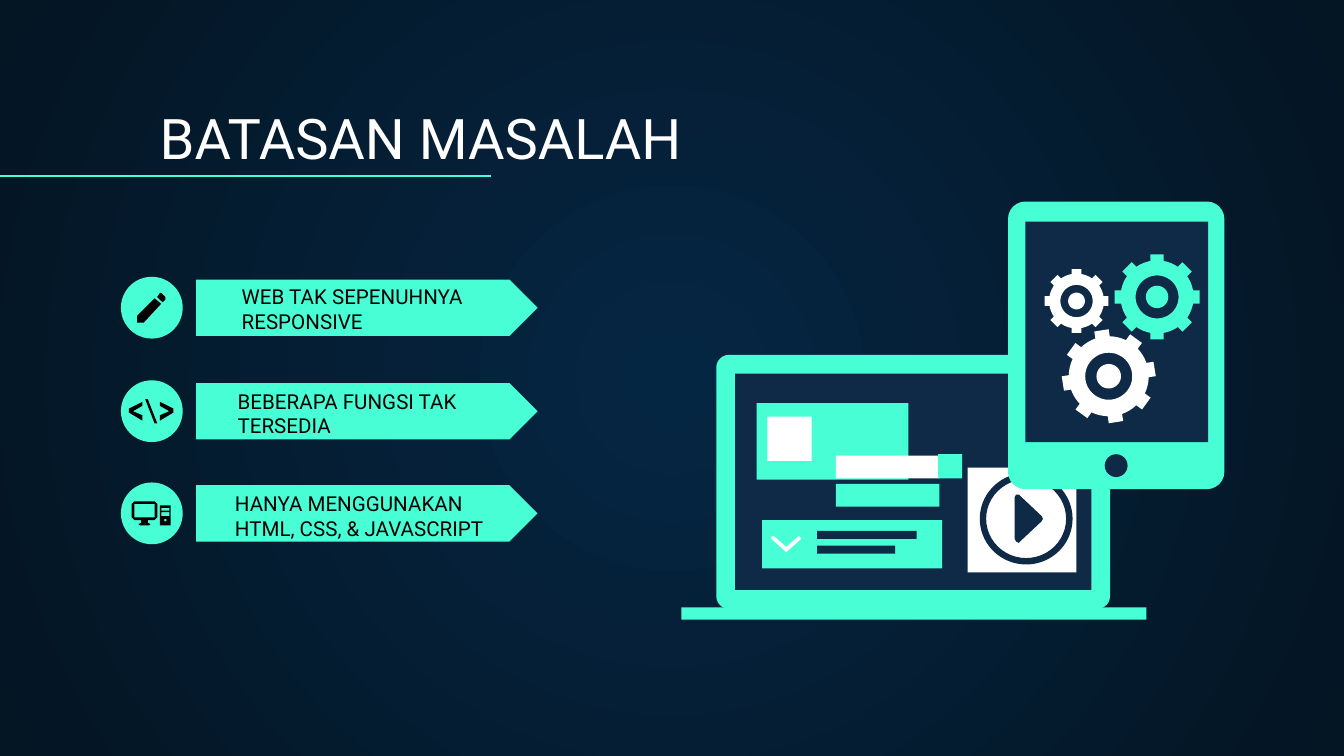
import math
from dataclasses import dataclass

from lxml import etree
from pptx import Presentation
from pptx import util as u
from pptx.dml.color import RGBColor
from pptx.enum import shapes, text
from pptx.oxml.ns import qn


@dataclass(frozen=True)
class Theme:
    mint: str = "48FFD5"
    navy: str = "0E2A47"
    white: str = "FFFFFF"
    black: str = "000000"
    glow: str = "052643"
    edge: str = "041523"
    font: str = "Roboto"
    title: int = 30
    label: int = 11
    rule: float = 0.75


THEME = Theme()
KIND = shapes.MSO_SHAPE


def rectangle(left, top, right, bottom):
    return [(left, top), (right, top), (right, bottom), (left, bottom)]


def ring(x, y, profile, turns, tilt=0):
    points = []
    for turn in range(turns):
        for offset, radius in profile:
            angle = math.radians(tilt + offset + 360 * turn / turns)
            points.append((x + radius * math.sin(angle), y - radius * math.cos(angle)))
    return points


class SlideBuilder:
    """Draws styled elements on the current slide."""

    def __init__(self, deck, theme):
        self.theme = theme
        self.page = deck.slides.add_slide(deck.slide_layouts[6])

    def background(self):
        fill = self.page.background.fill
        fill.gradient()
        for stop, color in zip(fill.gradient_stops, (self.theme.glow, self.theme.edge)):
            stop.color.rgb = RGBColor.from_string(color)
        gradient = self.page.element.find(".//" + qn("a:gradFill"))
        gradient.remove(gradient.find(qn("a:lin")))
        path = etree.SubElement(gradient, qn("a:path"), {"path": "circle"})
        sides = dict.fromkeys("ltrb", "50000")
        etree.SubElement(path, qn("a:fillToRect"), sides)

    def paint(self, shape, color):
        shape.shadow.inherit = False
        shape.fill.solid()
        shape.fill.fore_color.rgb = RGBColor.from_string(color)
        shape.line.fill.background()

    def shape(self, kind, left, top, width, height, color, adjust=None):
        shape = self.page.shapes.add_shape(kind, *map(u.Inches, (left, top, width, height)))
        self.paint(shape, color)
        if adjust is not None:
            shape.adjustments[0] = adjust
        return shape

    def outline(self, color, *contours):
        scaled = [[(u.Inches(x), u.Inches(y)) for x, y in contour] for contour in contours]
        first, *rest = scaled
        builder = self.page.shapes.build_freeform(*first[0])
        builder.add_line_segments(first[1:])
        for contour in rest:
            builder.move_to(*contour[0])
            builder.add_line_segments(contour[1:])
        self.paint(builder.convert_to_shape(), color)

    def gear(self, x, y, radius, color, tilt=0):
        body = 0.85 * radius
        tooth = [(-10.5, body), (-8.9, radius), (8.9, radius), (10.5, body)]
        valley = [(angle, body) for angle in (16.5, 22.5, 28.5)]
        holes = [ring(x, y, [(0, share * radius)], 48) for share in (0.5, 0.26)]
        self.outline(color, ring(x, y, tooth + valley, 8, tilt), *holes)

    def text(self, left, top, width, height, wording, size, color):
        box = self.page.shapes.add_textbox(*map(u.Inches, (left, top, width, height)))
        frame = box.text_frame
        frame.word_wrap = True
        frame.auto_size = text.MSO_AUTO_SIZE.NONE
        frame.vertical_anchor = text.MSO_ANCHOR.BOTTOM
        frame.margin_left = frame.margin_right = u.Inches(0.1)
        frame.margin_top = frame.margin_bottom = u.Inches(0.1)
        para = frame.paragraphs[0]
        para.text = wording
        para.font.name = self.theme.font
        para.font.size = u.Pt(size)
        para.font.color.rgb = RGBColor.from_string(color)

    def line(self, x1, y1, x2, y2, color):
        ends = map(u.Inches, (x1, y1, x2, y2))
        line = self.page.shapes.add_connector(shapes.MSO_CONNECTOR.STRAIGHT, *ends)
        line.line.color.rgb = RGBColor.from_string(color)
        line.line.width = u.Pt(self.theme.rule)
        etree.SubElement(line.element.spPr, qn("a:effectLst"))


def draw_limits(slide):
    limits = [
        (2.08, 1.7, 2.37, "WEB TAK SEPENUHNYA RESPONSIVE"),
        (2.85, 1.67, 3.15, "BEBERAPA FUNGSI TAK TERSEDIA"),
        (3.61, 1.65, 3.91, "HANYA MENGGUNAKAN HTML, CSS, & JAVASCRIPT"),
    ]
    for top, left, text_top, wording in limits:
        slide.shape(KIND.PENTAGON, 1.46, top, 2.54, 0.42, THEME.mint, 0.5)
        slide.shape(KIND.OVAL, 0.9, top - 0.02, 0.46, 0.46, THEME.mint)
        slide.text(left, text_top, 2.27, 0.21, wording, THEME.label, THEME.black)


def draw_icons(slide):
    pencil_tip = [(1.19, 2.18), (1.2, 2.18), (1.23, 2.21), (1.23, 2.23), (1.21, 2.25), (1.17, 2.21)]
    pencil_body = [(1.15, 2.22), (1.02, 2.35), (1.02, 2.4), (1.07, 2.4), (1.2, 2.26)]
    slide.outline(THEME.black, pencil_tip, pencil_body)

    bracket = [(0.1, 0), (0, 0.05), (0, 0.08), (0.1, 0.14), (0.1, 0.1), (0.03, 0.07), (0.1, 0.03)]
    for origin, direction in ((0.96, 1), (1.29, -1)):
        slide.outline(THEME.black, [(origin + direction * x, 2.99 + y) for x, y in bracket])
    slide.outline(THEME.black, [(1.15, 3.15), (1.08, 2.97), (1.1, 2.97), (1.17, 3.15)])

    slide.outline(
        THEME.black,
        [(1, 3.73), (1.15, 3.73), (1.17, 3.75), (1.17, 3.85), (1.15, 3.87), (1.1, 3.87),
         (1.1, 3.89), (1.12, 3.9), (1.11, 3.91), (1.04, 3.91), (1.03, 3.9), (1.05, 3.89),
         (1.05, 3.87), (1, 3.87), (0.98, 3.85), (0.98, 3.75)],
        rectangle(1, 3.75, 1.15, 3.85),
    )
    slide.outline(
        THEME.black,
        rectangle(1.19, 3.76, 1.27, 3.91),
        rectangle(1.2, 3.78, 1.26, 3.8),
        rectangle(1.2, 3.81, 1.26, 3.84),
        ring(1.23, 3.87, [(0, 0.01)], 12),
    )


def draw_laptop(slide):
    slide.shape(KIND.ROUNDED_RECTANGLE, 5.33, 2.64, 2.93, 1.89, THEME.mint, 0.05)
    panels = [
        (5.47, 2.78, 2.65, 1.61, THEME.navy),
        (5.07, 4.52, 3.46, 0.09, THEME.mint),
        (5.63, 3, 1.13, 0.57, THEME.mint),
        (5.71, 3.1, 0.33, 0.33, THEME.white),
        (5.67, 3.87, 1.34, 0.36, THEME.mint),
        (6.08, 3.95, 0.74, 0.06, THEME.navy),
        (6.08, 4.06, 0.58, 0.06, THEME.navy),
        (6.22, 3.6, 0.77, 0.17, THEME.mint),
        (6.22, 3.39, 0.77, 0.17, THEME.white),
        (6.98, 3.38, 0.18, 0.18, THEME.mint),
        (7.2, 3.48, 0.81, 0.78, THEME.white),
    ]
    for *place, color in panels:
        slide.shape(KIND.RECTANGLE, *place, color)
    slide.outline(THEME.white, [
        (5.75, 3.99), (5.76, 3.99), (5.85, 4.07), (5.94, 3.99), (5.95, 3.99), (5.96, 4.01),
        (5.86, 4.1), (5.85, 4.11), (5.84, 4.1), (5.74, 4.01), (5.74, 3.99)])
    slide.shape(KIND.DONUT, 7.29, 3.52, 0.69, 0.68, THEME.navy, 0.07)
    slide.outline(THEME.navy, [
        (7.55, 3.7), (7.56, 3.68), (7.58, 3.68), (7.75, 3.84), (7.76, 3.86), (7.75, 3.88),
        (7.59, 4.03), (7.58, 4.04), (7.56, 4.03), (7.55, 4.01)])


def draw_tablet(slide):
    slide.shape(KIND.ROUNDED_RECTANGLE, 7.5, 1.5, 1.61, 2.14, THEME.mint, 0.08)
    slide.shape(KIND.RECTANGLE, 7.63, 1.65, 1.36, 1.64, THEME.navy)
    slide.shape(KIND.OVAL, 8.22, 3.38, 0.17, 0.17, THEME.navy)
    slide.gear(8.61, 2.21, 0.32, THEME.mint)
    slide.gear(8.01, 2.24, 0.24, THEME.white)
    slide.gear(8.25, 2.8, 0.35, THEME.white, -9)


def main():
    deck = Presentation()
    deck.slide_width = u.Inches(10)
    deck.slide_height = deck.slide_width * 9 // 16
    slide = SlideBuilder(deck, THEME)
    slide.background()
    slide.text(1.09, 0.71, 8.57, 0.66, "BATASAN MASALAH", THEME.title, THEME.white)
    slide.line(0, 1.31, 3.65, 1.31, THEME.mint)
    draw_limits(slide)
    draw_icons(slide)
    draw_laptop(slide)
    draw_tablet(slide)
    deck.save("out.pptx")


if __name__ == "__main__":
    main()
